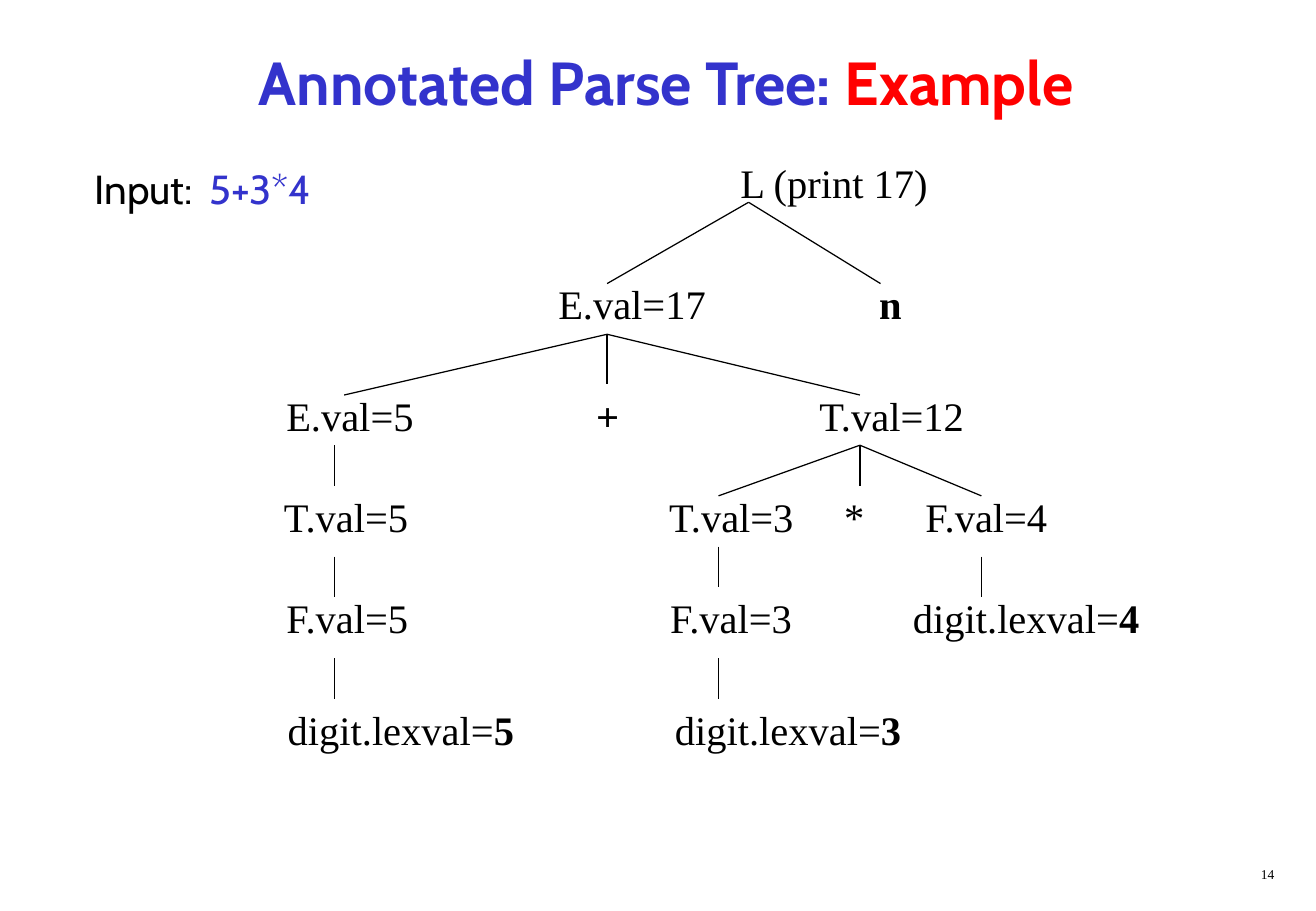
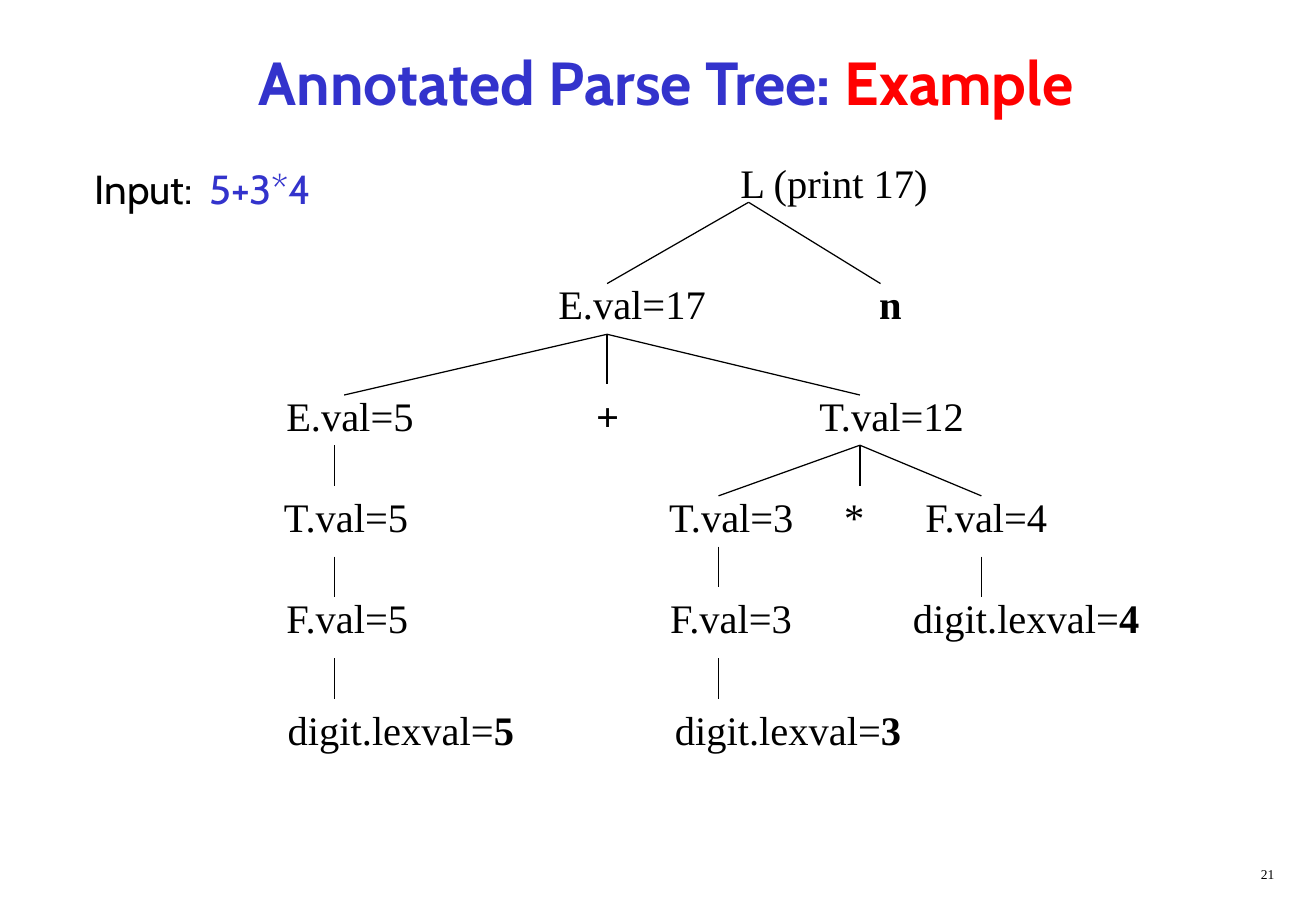
"""Build two slides that show an annotated parse tree."""
from dataclasses import dataclass

from lxml import etree
from pptx import Presentation
from pptx import util as u
from pptx.dml.color import RGBColor
from pptx.enum import shapes, text
from pptx.oxml.ns import qn


@dataclass(frozen=True)
class Theme:
    blue: RGBColor = RGBColor(0x33, 0x33, 0xCC)
    red: RGBColor = RGBColor(0xFF, 0x00, 0x00)
    black: RGBColor = RGBColor(0x00, 0x00, 0x00)
    heading_font: str = "Cabin"
    tree_font: str = "Times New Roman"
    title_size: int = 36
    tree_size: int = 24
    number_size: int = 8
    edge_width: float = 0.75


@dataclass(frozen=True)
class Piece:
    words: str
    bold: bool | None = None
    color: RGBColor | None = None


@dataclass(frozen=True)
class Row:
    left: float
    top: float
    width: float
    pieces: tuple[Piece, ...]
    tabs: tuple[float, ...] = ()
    font: str = "Times New Roman"
    size: int = 24
    height: float = 1.27
    align: text.PP_ALIGN = text.PP_ALIGN.LEFT


@dataclass(frozen=True)
class Branch:
    x: float
    y: float
    ends: tuple[tuple[float, float], ...]


THEME = Theme()
STEM = 0.85
PAGE_NUMBERS = (14, 21)

INPUT = Row(1.73, 3.3, 5.74, (Piece("Input:\t"), Piece("5+3*4", color=THEME.blue)),
            (2.4,), THEME.heading_font)

TREE_ROWS = (
    Row(15.24, 3.18, 5.28, (Piece("L (print 17)"),)),
    Row(11.43, 5.72, 8.26, (Piece("E.val=17\t"), Piece("n", bold=True)), (6.71,)),
    Row(5.74, 8.05, 14.9,
        (Piece("E.val=5\t"), Piece("+", bold=True), Piece("\tT.val=12")), (6.48, 11.15)),
    Row(5.69, 10.16, 16.71, (Piece("T.val=5\tT.val=3\t*\tF.val=4"),), (8.06, 11.72, 13.42)),
    Row(5.74, 12.27, 18.6,
        (Piece("F.val=5\tF.val=3\tdigit.lexval="), Piece("4", bold=True)), (8.03, 13.11)),
    Row(5.77, 14.61, 13.5,
        (Piece("digit.lexval="), Piece("5", bold=True),
         Piece("\tdigit.lexval="), Piece("3", bold=True)), (8.1,)),
)

FORKS = (
    Branch(15.66, 4.23, ((12.7, 5.93), (18.42, 5.93))),
    Branch(12.7, 6.99, ((7.2, 8.26), (12.7, 8.04), (17.99, 8.26))),
    Branch(17.99, 9.31, ((15.03, 10.37), (17.99, 10.16), (20.53, 10.37))),
)
STEM_TOPS = ((6.99, 9.31), (6.99, 11.64), (6.99, 13.76),
             (15.03, 11.43), (15.03, 13.76), (20.53, 11.64))
BRANCHES = FORKS + tuple(Branch(x, y, ((x, y + STEM),)) for x, y in STEM_TOPS)


def set_tabs(paragraph, positions: tuple[float, ...]) -> None:
    """Give the paragraph left tab stops, in centimetres."""
    tab_list = etree.SubElement(paragraph._p.get_or_add_pPr(), qn("a:tabLst"))
    for position in positions:
        etree.SubElement(tab_list, qn("a:tab"), pos=str(u.Cm(position)), algn="l")


def write(paragraph, pieces: tuple[Piece, ...], font: str, size: int) -> None:
    """Fill the paragraph with runs that share a font and size."""
    paragraph.font.name = font
    paragraph.font.size = u.Pt(size)
    paragraph.font.color.rgb = THEME.black
    for piece in pieces:
        run = paragraph.add_run()
        run.text = piece.words
        if piece.bold is not None:
            run.font.bold = piece.bold
        if piece.color is not None:
            run.font.color.rgb = piece.color


def add_title(slide) -> None:
    """Place and write the two-coloured title."""
    title = slide.shapes.title
    title.left, title.top = u.Cm(1.06), u.Cm(0.42)
    title.width, title.height = u.Cm(26.04), u.Cm(2.54)
    frame = title.text_frame
    frame.auto_size = text.MSO_AUTO_SIZE.NONE
    frame.vertical_anchor = text.MSO_ANCHOR.MIDDLE
    paragraph = frame.paragraphs[0]
    paragraph.alignment = text.PP_ALIGN.CENTER
    paragraph.font.bold = True
    write(paragraph,
          (Piece("Annotated Parse Tree: ", color=THEME.blue), Piece("Example ", color=THEME.red)),
          THEME.heading_font, THEME.title_size)


def add_row(slide, row: Row) -> None:
    """Add one line of text, spaced out by its tab stops."""
    box = slide.shapes.add_textbox(*map(u.Cm, (row.left, row.top, row.width, row.height)))
    box.text_frame.word_wrap = True
    paragraph = box.text_frame.paragraphs[0]
    paragraph.alignment = row.align
    if row.tabs:
        set_tabs(paragraph, row.tabs)
    write(paragraph, row.pieces, row.font, row.size)


def add_branch(slide, branch: Branch) -> None:
    """Draw the edges from one node to its children."""
    for end_x, end_y in branch.ends:
        edge = slide.shapes.add_connector(
            shapes.MSO_CONNECTOR.STRAIGHT,
            *map(u.Cm, (branch.x, branch.y, end_x, end_y)))
        edge.line.color.rgb = THEME.black
        edge.line.width = u.Pt(THEME.edge_width)
        etree.SubElement(edge._element.spPr, qn("a:effectLst"))


def add_tree_slide(presentation, number: int) -> None:
    """Add a parse tree slide with its page number."""
    slide = presentation.slides.add_slide(presentation.slide_layouts[5])
    add_title(slide)
    page_number = Row(21.17, 17.99, 5.74, (Piece(str(number)),), size=THEME.number_size,
                      height=0.64, align=text.PP_ALIGN.RIGHT)
    for row in (INPUT, *TREE_ROWS, page_number):
        add_row(slide, row)
    for branch in BRANCHES:
        add_branch(slide, branch)


def main() -> None:
    """Build and save the presentation."""
    presentation = Presentation()
    presentation.slide_width = u.Cm(27.53)
    presentation.slide_height = u.Cm(19.05)
    for number in PAGE_NUMBERS:
        add_tree_slide(presentation, number)
    presentation.save("out.pptx")


if __name__ == "__main__":
    main()
